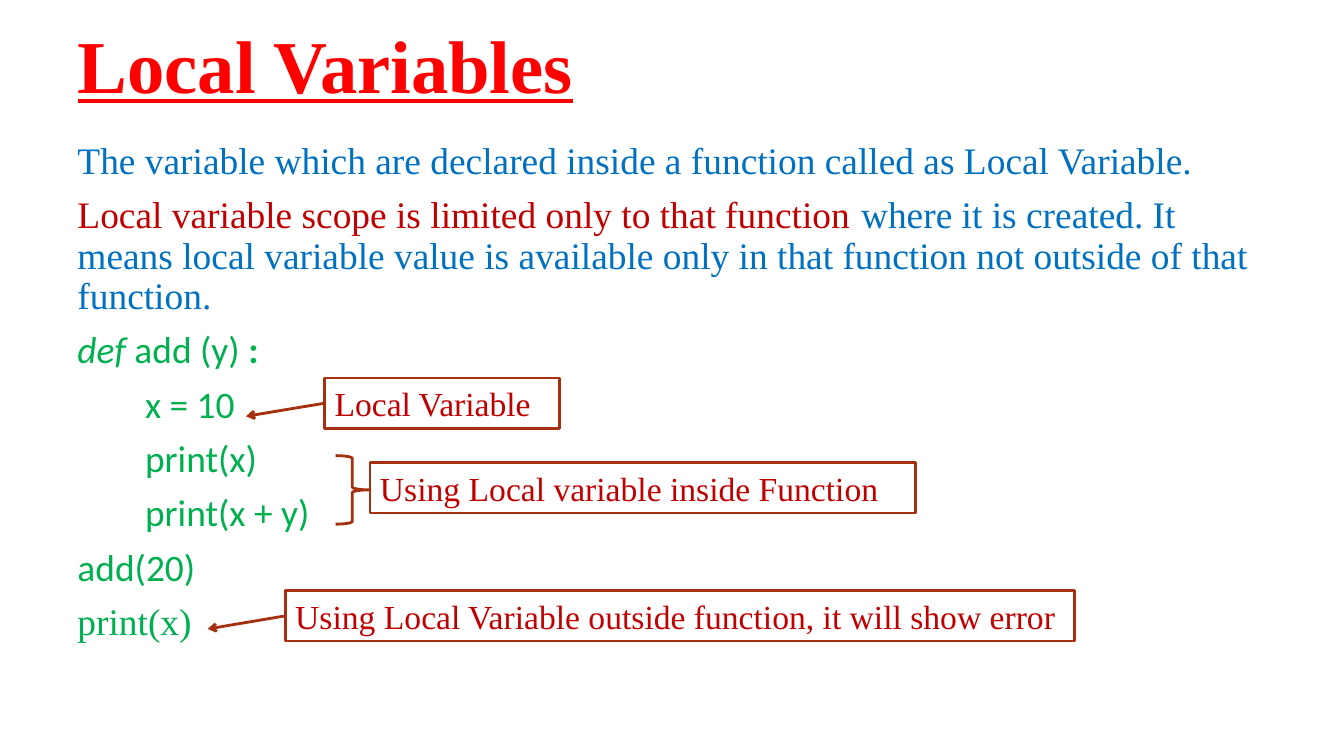
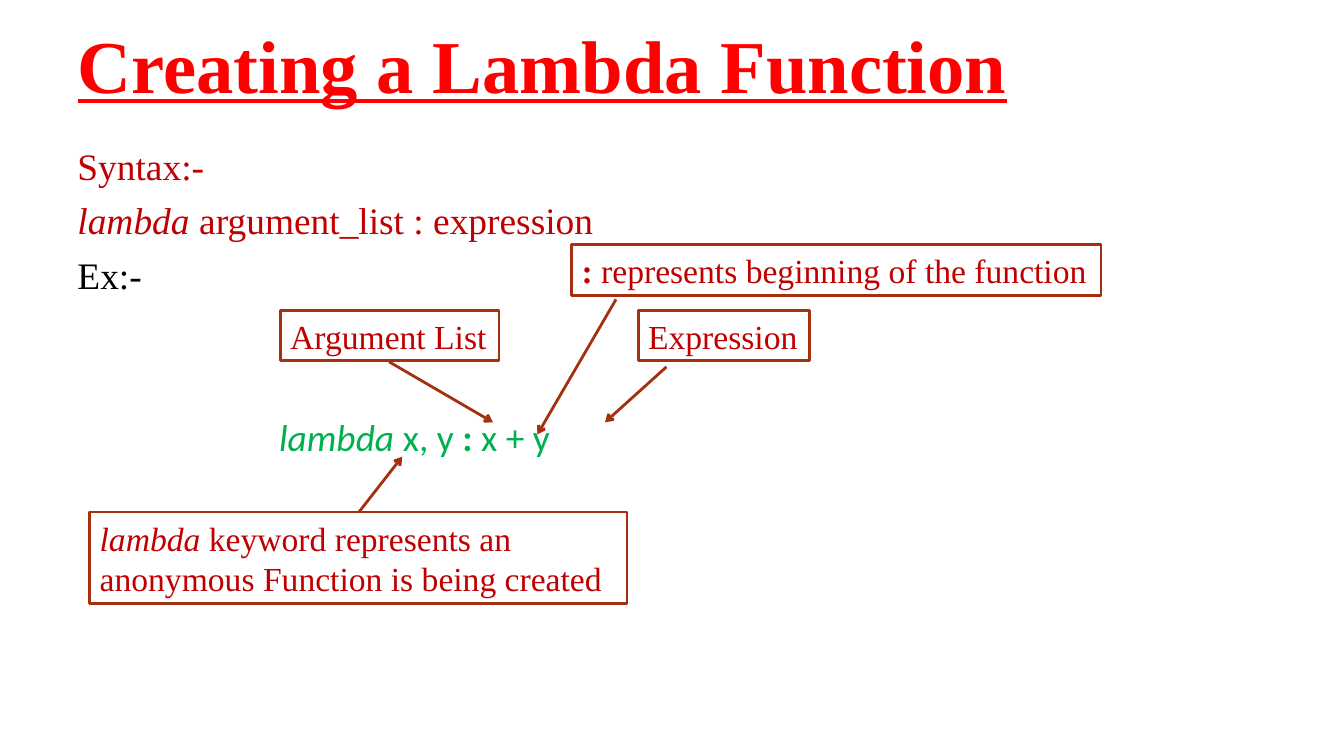
from lxml import etree
from pptx import Presentation
from pptx import util as u
from pptx.dml import color
from pptx.enum import shapes, text
from pptx.oxml import ns

HUES = {"title": "FF0000", "blue": "0070C0", "red": "C00000", "green": "00B050",
        "black": "000000", "white": "FFFFFF", "line": "A5300F"}
SERIF, SANS = "Times New Roman", "Calibri"


def rgb(hue):
    return color.RGBColor.from_string(HUES[hue])


class Deck:
    """Holds the shared style and the slide being built."""

    def __init__(self):
        self.prs = Presentation()
        self.prs.slide_width = u.Inches(13.33)
        self.prs.slide_height = u.Inches(7.5)
        self.slide = None

    def place(self, shape, left, top, width, height):
        shape.left, shape.top = u.Inches(left), u.Inches(top)
        shape.width, shape.height = u.Inches(width), u.Inches(height)

    def run(self, para, words, hue, size, face=SERIF, style=""):
        """Add one run; style holds any of the letters b, i and u."""
        run = para.add_run()
        run.text = words
        font = run.font
        font.name, font.size = face, u.Pt(size)
        font.color.rgb = rgb(hue)
        font.bold, font.italic, font.underline = (key in style for key in "biu")

    def start(self, words):
        """Open a new slide with its title."""
        self.slide = self.prs.slides.add_slide(self.prs.slide_layouts[5])
        title = self.slide.shapes.title
        self.place(title, 0.67, 0.06, 12, 1.25)
        frame = title.text_frame
        frame.auto_size = text.MSO_AUTO_SIZE.NONE
        frame.vertical_anchor = text.MSO_ANCHOR.MIDDLE
        para = frame.paragraphs[0]
        para.alignment = text.PP_ALIGN.LEFT
        para.line_spacing = 0.9
        self.run(para, words, "title", 53.3, style="bu")

    def body(self, top, height, rows):
        """Each row is (indent in inches, space before in points, runs)."""
        box = self.slide.shapes.add_textbox(0, 0, 0, 0)
        self.place(box, 0.67, top, 12, height)
        frame = box.text_frame
        frame.word_wrap = True
        for num, (indent, space, runs) in enumerate(rows):
            para = frame.add_paragraph() if num else frame.paragraphs[0]
            para.line_spacing, para.space_before = 0.9, u.Pt(space)
            if indent:
                para._p.get_or_add_pPr().set("marL", str(u.Inches(indent)))
            for words, hue, *look in runs:
                self.run(para, words, hue, 26.7, *look)

    def stroke(self, line):
        line.color.rgb = rgb("line")
        line.width = u.Pt(2)

    def note(self, left, top, width, runs, height=0.5):
        """Add a framed label; each run is (words, style)."""
        box = self.slide.shapes.add_shape(shapes.MSO_SHAPE.RECTANGLE, 0, 0, 0, 0)
        self.place(box, left, top, width, height)
        box.shadow.inherit = False
        box.fill.solid()
        box.fill.fore_color.rgb = rgb("white")
        self.stroke(box.line)
        frame = box.text_frame
        frame.word_wrap = True
        frame.margin_right = 0
        para = frame.paragraphs[0]
        para.alignment = text.PP_ALIGN.LEFT
        for words, style in runs:
            self.run(para, words, "red", 24, style=style)

    def brace(self, left, top, width, height):
        mark = self.slide.shapes.add_shape(shapes.MSO_SHAPE.RIGHT_BRACE, 0, 0, 0, 0)
        self.place(mark, left, top, width, height)
        mark.shadow.inherit = False
        mark.fill.background()
        self.stroke(mark.line)

    def arrow(self, *ends):
        """Draw from x, y to x, y with the head at the second point."""
        link = self.slide.shapes.add_connector(
            shapes.MSO_CONNECTOR.STRAIGHT, *map(u.Inches, ends))
        self.stroke(link.line)
        etree.SubElement(link.line._get_or_add_ln(), ns.qn("a:tailEnd"), type="arrow")
        etree.SubElement(link._element.spPr, ns.qn("a:effectLst"))


def local(deck):
    deck.start("Local Variables")

    def code(words, indent=0, face=SANS):
        return indent, 10, [(words, "green", face)]

    deck.body(1.36, 5.62, [
        (0, 10, [("The variable which are declared inside a function called as "
                  "Local Variable.", "blue")]),
        (0, 10, [("Local variable scope is limited only to that function", "red"),
                 (" where it is created. It means local variable value is available "
                  "only in that function not outside of that function.", "blue")]),
        (0, 10, [("def", "green", SANS, "i"), (" add (y) ", "green", SANS),
                 (":", "green", SANS, "b")]),
        code("x = 10", 0.67),
        code("print(x)", 0.67),
        code("print(x + y)", 0.67),
        code("add(20)"),
        code("print(x)", face=SERIF),
    ])
    deck.note(3.22, 3.75, 2.33, [("Local Variable", "")])
    deck.arrow(3.22, 4, 2.44, 4.13)
    deck.note(3.67, 4.59, 5.41, [("Using Local variable inside Function", "")])
    deck.brace(3.33, 4.52, 0.33, 0.68)
    deck.note(2.83, 5.86, 7.83,
              [("Using Local Variable outside function, it will show error", "")])
    deck.arrow(2.83, 6.11, 2.06, 6.24)


def anon(deck):
    deck.start("Creating a Lambda Function")
    deck.body(1.42, 5.22, [
        (0, 10, [("Syntax:-", "red")]),
        (0, 10, [("lambda ", "red", SERIF, "i"),
                 ("argument_list : expression", "red")]),
        (0, 10, [("Ex:-", "black")]),
        (2, 87, [("lambda ", "green", SANS, "i"), ("x, y ", "green", SANS),
                 (":", "green", SANS, "b"), (" x + y", "green", SANS)]),
    ])
    deck.note(0.89, 5.08, 5.33,
              [("lambda", "i"),
               (" keyword represents an anonymous Function is being created", "")], 0.91)
    deck.arrow(3.56, 5.08, 3.99, 4.53)
    deck.note(2.78, 3.08, 2.17, [("Argument List", "")])
    deck.arrow(3.86, 3.59, 4.89, 4.19)
    deck.note(5.67, 2.43, 5.25,
              [(":", "b"), (" represents beginning of the function", "")])
    deck.arrow(6.11, 2.97, 5.33, 4.31)
    deck.note(6.33, 3.08, 1.7, [("Expression", "")])
    deck.arrow(6.61, 3.64, 6, 4.19)


def main():
    deck = Deck()
    local(deck)
    anon(deck)
    deck.prs.save("out.pptx")


if __name__ == "__main__":
    main()
